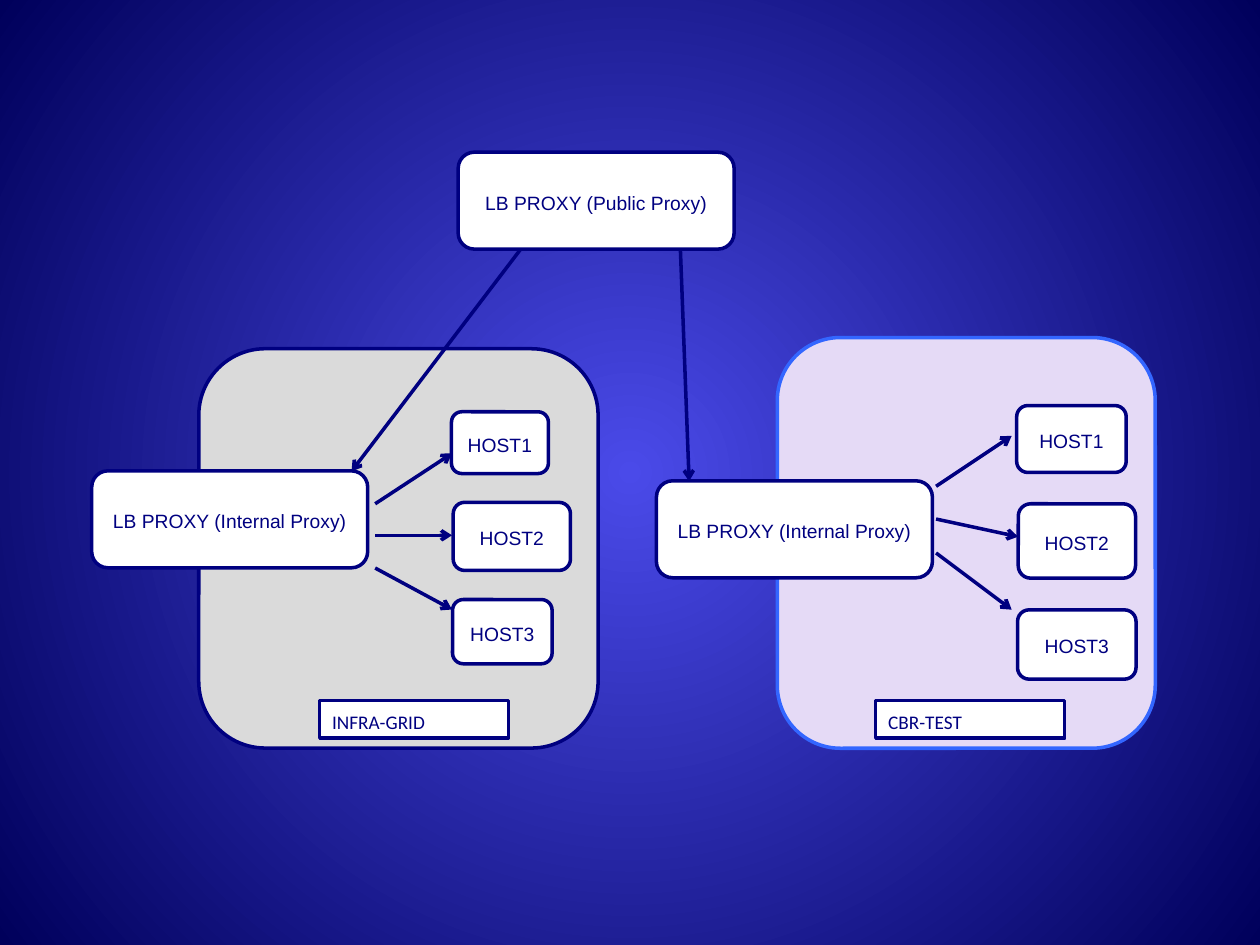
from lxml import etree
from pptx import Presentation
from pptx.dml.color import RGBColor
from pptx.enum.shapes import MSO_CONNECTOR, MSO_SHAPE
from pptx.enum.text import MSO_ANCHOR, PP_ALIGN
from pptx.oxml.ns import qn
from pptx.util import Pt

ROUND, RECT = MSO_SHAPE.ROUNDED_RECTANGLE, MSO_SHAPE.RECTANGLE
LINE = MSO_CONNECTOR.STRAIGHT
MIDDLE, TOP = MSO_ANCHOR.MIDDLE, MSO_ANCHOR.TOP
CENTER, LEFT = PP_ALIGN.CENTER, PP_ALIGN.LEFT

NAVY, WHITE = "000080", "FFFFFF"
PROXY = (157.7, 55.4)
LABEL = (108, 21.6)


def color(hexa):
    """Turn a hex string into a colour."""
    return RGBColor.from_string(hexa)


def paint(slide):
    """Fill the background with a round gradient, bright in the middle."""
    fill = slide.background.fill
    fill.gradient()
    for stop, hexa in zip(fill.gradient_stops, ("4A4AE9", "00005B")):
        stop.color.rgb = color(hexa)
    grad = slide.element.find(".//" + qn("a:gradFill"))
    grad.remove(grad.find(qn("a:lin")))
    ring = etree.SubElement(grad, qn("a:path"), path="circle")
    etree.SubElement(ring, qn("a:fillToRect"),
                     l="50000", t="50000", r="50000", b="50000")


def box(slide, x, y, w, h, text="", kind=ROUND, fill=WHITE, edge=NAVY,
        font="Arial", align=CENTER, anchor=MIDDLE):
    """Draw one outlined box with an optional line of text."""
    shape = slide.shapes.add_shape(kind, Pt(x), Pt(y), Pt(w), Pt(h))
    shape.shadow.inherit = False
    shape.fill.solid()
    shape.fill.fore_color.rgb = color(fill)
    shape.line.color.rgb = color(edge)
    shape.line.width = Pt(2)
    if text:
        frame = shape.text_frame
        frame.text = text
        frame.word_wrap = True
        frame.vertical_anchor = anchor
        para = frame.paragraphs[0]
        para.alignment = align
        para.line_spacing = 1.15
        para.space_after = Pt(10)
        face = para.runs[0].font
        face.name, face.size = font, Pt(11)
        face.color.rgb = color(NAVY)


def arrow(slide, x1, y1, x2, y2):
    """Draw a line with an open arrowhead at its end."""
    link = slide.shapes.add_connector(LINE, Pt(x1), Pt(y1), Pt(x2), Pt(y2))
    link.line.color.rgb = color(NAVY)
    link.line.width = Pt(2)
    props = link.element.spPr
    etree.SubElement(props.find(qn("a:ln")), qn("a:tailEnd"), type="arrow")
    etree.SubElement(props, qn("a:effectLst"))


def zone(slide, x, y, w, h, fill, edge, name, label, proxy, hosts, links):
    """Draw a panel with its hosts, label, proxy and arrows inside it."""
    box(slide, x, y, w, h, fill=fill, edge=edge)
    for num, (dx, dy, wide, high) in enumerate(hosts, 1):
        box(slide, x + dx, y + dy, wide, high, f"HOST{num}")
    box(slide, x + label[0], y + label[1], *LABEL, name, kind=RECT,
        font="Calibri", align=LEFT, anchor=TOP)
    box(slide, x + proxy[0], y + proxy[1], *PROXY, "LB PROXY (Internal Proxy)")
    for x1, y1, x2, y2 in links:
        arrow(slide, x + x1, y + y1, x + x2, y + y2)


def main():
    """Build the slide and save it."""
    deck = Presentation()
    deck.slide_width, deck.slide_height = Pt(720), Pt(540)
    slide = deck.slides.add_slide(deck.slide_layouts[6])
    paint(slide)
    box(slide, 261.8, 87, *PROXY, "LB PROXY (Public Proxy)")
    zone(slide, 113.6, 199.3, 228.2, 228.2, "DADADA", NAVY, "INFRA-GRID",
         label=(69.1, 200.9), proxy=(-61.2, 69.8),
         hosts=[(144.4, 36, 55.4, 35.3), (145.4, 87.8, 67, 38.9),
                (145, 143.3, 56.9, 36.7)],
         links=[(100.8, 88.6, 144.7, 59.8), (100.8, 106.6, 144.7, 106.6),
                (100.8, 125.3, 144.7, 149)])
    zone(slide, 444.2, 192.9, 216, 234.7, "E5DAF6", "3366FF", "CBR-TEST",
         label=(56.2, 207.4), proxy=(-69.1, 81.9),
         hosts=[(136.8, 38.9, 62.6, 38.2), (137.7, 95, 67, 42.5),
                (137.3, 155.6, 67.7, 39.6)],
         links=[(90.7, 85, 133.9, 56.2), (90.7, 103.7, 137.5, 113.8),
                (90.7, 123.1, 133.9, 155.5)])
    arrow(slide, 297.4, 142.6, 200.9, 269.3)
    arrow(slide, 388.8, 142.6, 393.8, 275)
    deck.save("out.pptx")


main()
